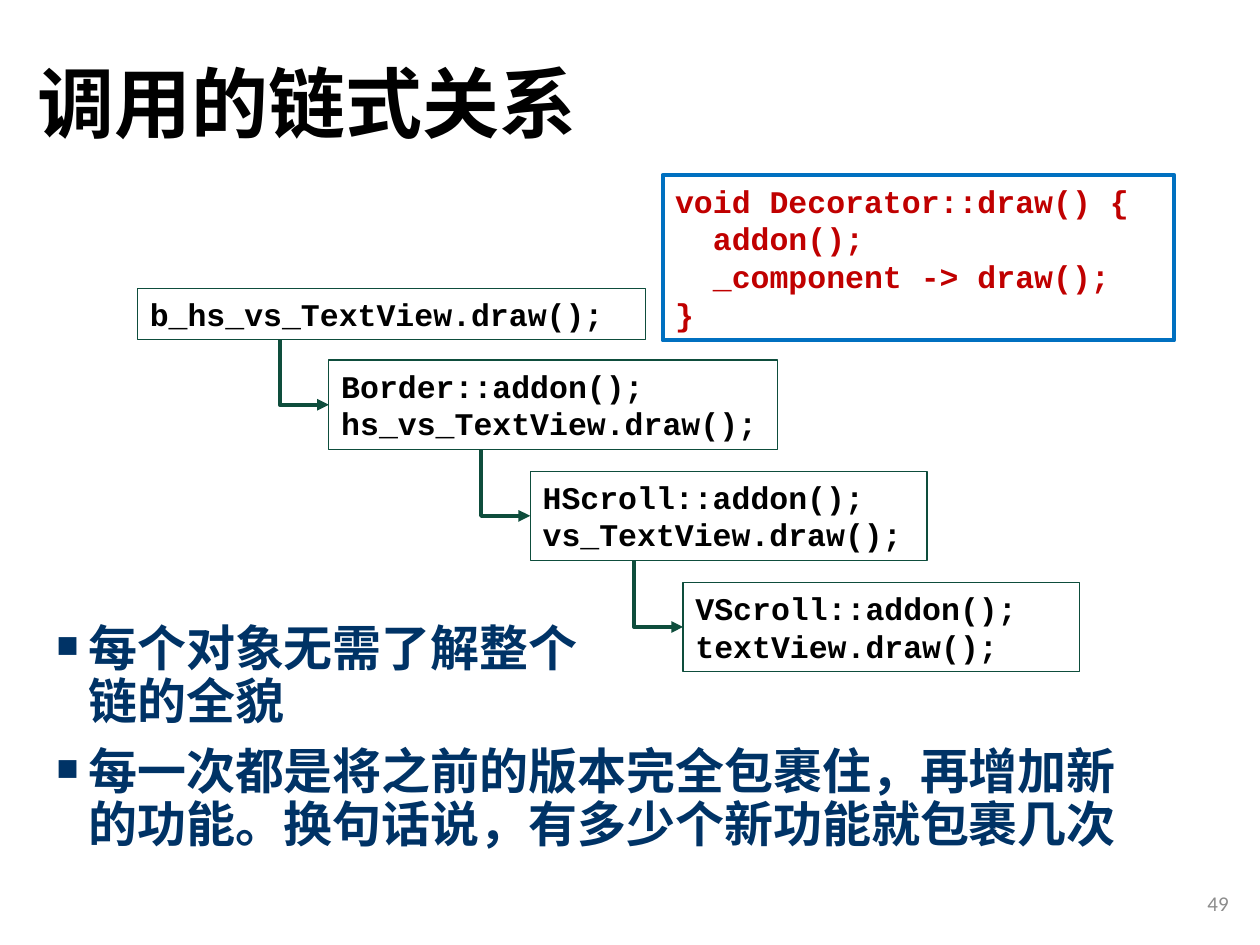
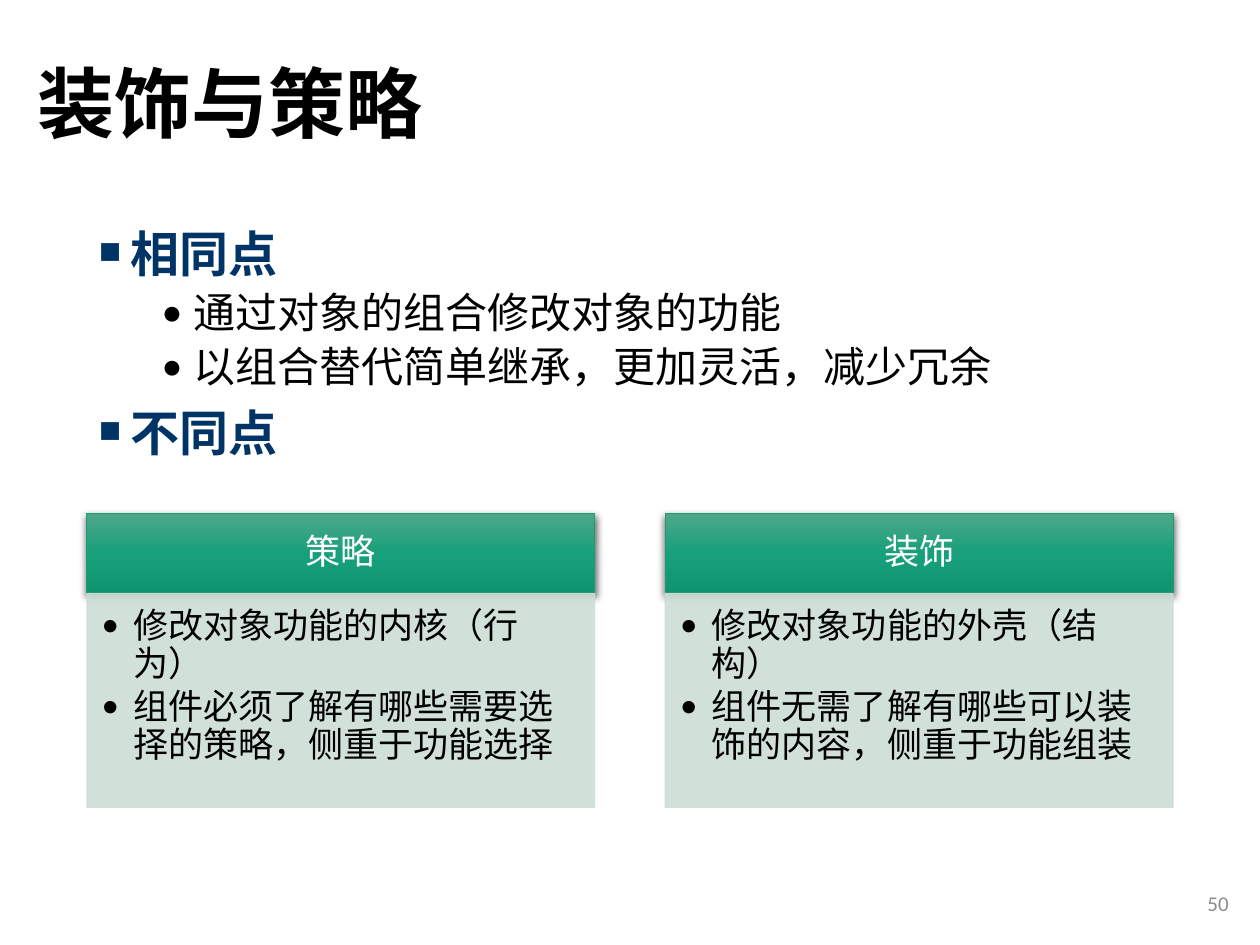
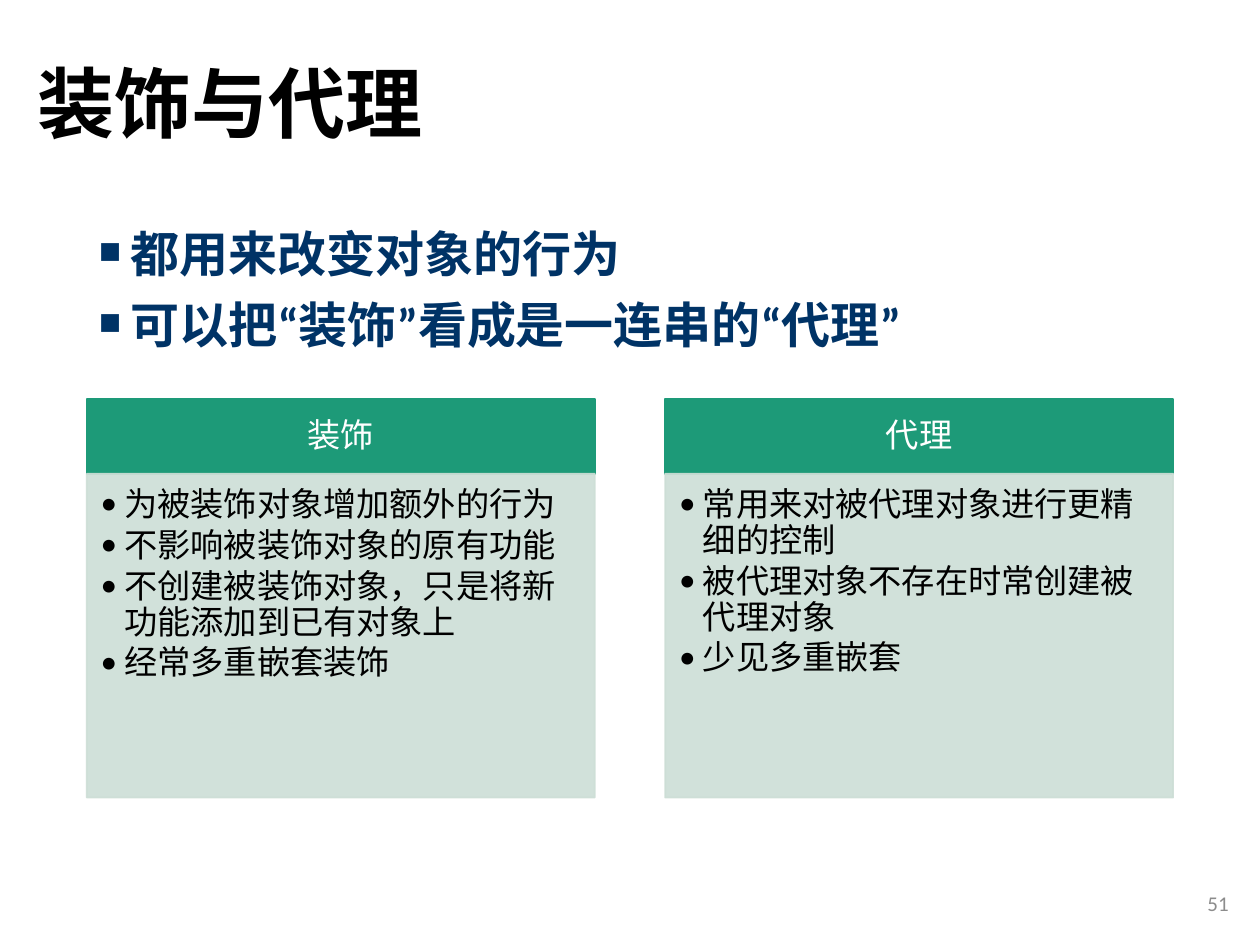
from dataclasses import dataclass
from itertools import pairwise

from lxml import etree
from pptx import Presentation
from pptx.dml.color import RGBColor
from pptx.enum.shapes import MSO_CONNECTOR, MSO_SHAPE
from pptx.enum.text import MSO_ANCHOR, MSO_AUTO_SIZE, PP_ALIGN
from pptx.oxml.ns import qn
from pptx.util import Cm, Pt

RECTANGLE = MSO_SHAPE.RECTANGLE
ELBOW = MSO_CONNECTOR.ELBOW
TOP, MIDDLE = MSO_ANCHOR.TOP, MSO_ANCHOR.MIDDLE
LEFT, CENTER, RIGHT = PP_ALIGN.LEFT, PP_ALIGN.CENTER, PP_ALIGN.RIGHT
GROW = MSO_AUTO_SIZE.SHAPE_TO_FIT_TEXT


@dataclass(frozen=True)
class Box:
    """A rectangle in centimetres."""
    left: float
    top: float
    width: float
    height: float

    @property
    def bottom(self):
        return self.top + self.height

    @property
    def middle(self):
        return self.top + self.height / 2

    def lengths(self):
        return [Cm(v) for v in (self.left, self.top, self.width, self.height)]


@dataclass(frozen=True)
class Style:
    font: str
    size: float
    color: str
    bold: bool = False
    east_asian: str = "Calibri"
    align: object = LEFT
    line_spacing: float = 0.9
    before: float = 0
    after: float = 0
    indent: float = 0
    hanging: float = 0
    bullet: str = ""
    bullet_font: str = "Calibri"
    bullet_percent: int = 100


class Theme:
    heading_font, code_font = "Noto Sans CJK SC", "Courier New"
    black, white = "000000", "FFFFFF"
    navy, blue, red = "003366", "0070C0", "C00000"
    dark_green, green, pale_green = "0E4D3C", "1D9A78", "CDDED6"
    gradient = {0: "4EA788", 50: "17A07B", 100: "0F9470"}
    title = Style(heading_font, 44, black, True, heading_font)
    number = Style("Calibri", 12, "8C8C8C", align=RIGHT, line_spacing=1)
    point = Style("Noto Sans Mono", 28, navy, True, before=10, indent=0.64,
                  hanging=0.64, bullet="■", bullet_font=code_font,
                  bullet_percent=75)
    detail = Style("Noto Sans Mono", 24, black, before=5, indent=1.9,
                   hanging=0.64, bullet="•")
    code = Style(code_font, 18, black, True, line_spacing=1)
    sample = Style(code_font, 18, red, True, line_spacing=1)


def card_styles(size, indent):
    head = Style(Theme.heading_font, size, Theme.white, align=CENTER)
    item = Style(Theme.heading_font, size, Theme.black, after=0.15 * size,
                 indent=indent, hanging=indent, bullet="•")
    return head, item


def add_node(parent, tag, **attributes):
    node = etree.SubElement(parent, qn(tag))
    for name, value in attributes.items():
        node.set(name, str(value))
    return node


def format_paragraph(para, style):
    para.alignment = style.align
    para.line_spacing = style.line_spacing
    para.space_before = Pt(style.before)
    para.space_after = Pt(style.after)
    if style.bullet:
        props = para._p.get_or_add_pPr()
        props.set("marL", str(Cm(style.indent)))
        props.set("indent", str(-Cm(style.hanging)))
        add_node(props, "a:buSzPct", val=style.bullet_percent * 1000)
        add_node(props, "a:buFont", typeface=style.bullet_font)
        add_node(props, "a:buChar", char=style.bullet)
    for span in para.runs:
        span.font.name = style.font
        span.font.size = Pt(style.size)
        span.font.bold = style.bold
        span.font.color.rgb = RGBColor.from_string(style.color)
        props = span._r.get_or_add_rPr()
        props.set("lang", "zh-CN")
        add_node(props, "a:ea", typeface=style.east_asian)


def write(shape, lines, anchor=TOP, insets=(0.25, 0.13, 0.25, 0.13)):
    """Fill a shape with (text, style) paragraphs."""
    frame = shape.text_frame
    frame.word_wrap = True
    frame.vertical_anchor = anchor
    (frame.margin_left, frame.margin_top,
     frame.margin_right, frame.margin_bottom) = [Cm(v) for v in insets]
    for index, (text, style) in enumerate(lines):
        para = frame.add_paragraph() if index else frame.paragraphs[0]
        para.text = text
        format_paragraph(para, style)


def add_text(page, box, lines, anchor=TOP):
    write(page.shapes.add_textbox(*box.lengths()), lines, anchor)


def add_panel(page, box, line_color, line_width, fill=None):
    panel = page.shapes.add_shape(RECTANGLE, *box.lengths())
    panel.shadow.inherit = False
    panel.line.color.rgb = RGBColor.from_string(line_color)
    panel.line.width = Pt(line_width)
    if fill:
        panel.fill.solid()
        panel.fill.fore_color.rgb = RGBColor.from_string(fill)
    else:
        panel.fill.background()
    return panel


def make_translucent(panel, percent):
    for color in panel._element.spPr.iter(qn("a:srgbClr")):
        add_node(color, "a:alpha", val=percent * 1000)


def make_glossy(panel):
    """Give a panel a vertical gradient and a soft shadow below."""
    props = panel._element.spPr
    solid = props.find(qn("a:solidFill"))
    gradient = etree.Element(qn("a:gradFill"), rotWithShape="1")
    stops = add_node(gradient, "a:gsLst")
    for position, color in Theme.gradient.items():
        stop = add_node(stops, "a:gs", pos=position * 1000)
        add_node(stop, "a:srgbClr", val=color)
    add_node(gradient, "a:lin", ang=90 * 60000, scaled=0)
    props.replace(solid, gradient)
    shadow = add_node(props.find(qn("a:effectLst")), "a:outerShdw",
                      blurRad=Pt(4.5), dist=Pt(1.5), dir=90 * 60000,
                      algn="ctr", rotWithShape=0)
    color = add_node(shadow, "a:srgbClr", val=Theme.black)
    add_node(color, "a:alpha", val=63000)


def add_page(deck, title, number):
    page = deck.slides.add_slide(deck.slide_layouts[6])
    add_text(page, Box(0.51, 0.33, 21.89, 3.68), [(title, Theme.title)], MIDDLE)
    add_text(page, Box(19.3, 17.7, 5.72, 1.02),
             [(str(number), Theme.number)], MIDDLE)
    return page


def add_code(page, box, lines, style, line_color, line_width):
    panel = add_panel(page, box, line_color, line_width)
    write(panel, [(line, style) for line in lines])
    panel.text_frame.auto_size = GROW


def add_call_arrow(page, caller, callee, run=0.99):
    """Draw an arrow down from the caller, then right into the callee."""
    drop = callee.middle - caller.bottom
    left = callee.left - (run + drop) / 2
    top = caller.bottom + (drop - run) / 2
    arrow = page.shapes.add_connector(
        ELBOW, Cm(left), Cm(top), Cm(left + drop), Cm(top + run))
    arrow.line.color.rgb = RGBColor.from_string(Theme.dark_green)
    arrow.line.width = Pt(2.25)
    props = arrow._element.spPr
    props.find(qn("a:prstGeom")).set("prst", "bentConnector2")
    frame = props.find(qn("a:xfrm"))
    frame.set("rot", str(270 * 60000))
    frame.set("flipH", "1")
    add_node(props.find(qn("a:ln")), "a:tailEnd", type="triangle")
    add_node(props, "a:effectLst")


def add_call_chain(page, left, top):
    step, height = 2.24, 1.8
    calls = [
        (Box(left, top, 10.24, 1.02), ["b_hs_vs_TextView.draw();"]),
    ]
    followers = [
        (3.86, 9.04, ["Border::addon();", "hs_vs_TextView.draw();"]),
        (7.92, 8, ["HScroll::addon();", "vs_TextView.draw();"]),
        (11, 8, ["VScroll::addon();", "textView.draw();"]),
    ]
    for index, (offset, width, lines) in enumerate(followers):
        box = Box(left + offset, top + 1.44 + index * step, width, height)
        calls.append((box, lines))
    for box, lines in calls:
        add_code(page, box, lines, Theme.code, Theme.dark_green, 0.75)
    for (caller, _), (callee, _) in pairwise(calls):
        add_call_arrow(page, caller, callee)


def add_cards(page, box, head_height, cards, styles, line_width, insets,
              glossy=False):
    """Place equally wide cards, each a header over a bulleted list."""
    head_style, item_style = styles
    head_insets, list_insets = insets
    gap = 1.42
    width = (box.width - gap * (len(cards) - 1)) / len(cards)
    for index, (name, items) in enumerate(cards):
        left = box.left + index * (width + gap)
        head = add_panel(page, Box(left, box.top, width, head_height),
                         Theme.green, line_width, Theme.green)
        if glossy:
            make_glossy(head)
        write(head, [(name, head_style)], MIDDLE, head_insets)
        body = add_panel(
            page, Box(left, box.top + head_height, width,
                      box.height - head_height),
            Theme.pale_green, line_width, Theme.pale_green)
        make_translucent(body, 90)
        write(body, [(item, item_style) for item in items], TOP, list_insets)


def build_chain_page(deck):
    page = add_page(deck, "调用的链式关系", 49)
    add_text(page, Box(0.89, 12.45, 21.89, 4.72), [
        ("每个对象无需了解整个\n链的全貌", Theme.point),
        ("每一次都是将之前的版本完全包裹住，再增加新的功能。"
         "换句话说，有多少个新功能就包裹几次", Theme.point),
    ])
    add_code(page, Box(13.36, 3.53, 10.31, 3.33), [
        "void Decorator::draw() {",
        "  addon();",
        "  _component -> draw();",
        "}",
    ], Theme.sample, Theme.blue, 2.5)
    add_call_chain(page, 2.77, 5.82)


def build_comparison_page(deck, title, number, points, **cards):
    page = add_page(deck, title, number)
    add_text(page, Box(1.75, 4.52, 22.35, 13.18), points)
    add_cards(page, **cards)


def main():
    deck = Presentation()
    deck.slide_width, deck.slide_height = Cm(25.4), Cm(19.05)
    build_chain_page(deck)
    build_comparison_page(
        deck, "装饰与策略", 50,
        [("相同点", Theme.point),
         ("通过对象的组合修改对象的功能", Theme.detail),
         ("以组合替代简单继承，更加灵活，减少冗余", Theme.detail),
         ("不同点", Theme.point)],
        box=Box(1.75, 10.36, 21.9, 5.92), head_height=1.6,
        cards=[
            ("策略", ["修改对象功能的内核（行为）",
                    "组件必须了解有哪些需要选择的策略，侧重于功能选择"]),
            ("装饰", ["修改对象功能的外壳（结构）",
                    "组件无需了解有哪些可以装饰的内容，侧重于功能组装"]),
        ],
        styles=card_styles(20, 0.64), line_width=0.5,
        insets=((0.4, 0.23, 0.4, 0.23), (0.3, 0.3, 0.4, 0.43)), glossy=True)
    build_comparison_page(
        deck, "装饰与代理", 51,
        [("都用来改变对象的行为", Theme.point),
         ("可以把“装饰”看成是一连串的“代理”", Theme.point)],
        box=Box(1.75, 8.05, 21.9, 8.03), head_height=1.5,
        cards=[
            ("装饰", ["为被装饰对象增加额外的行为",
                    "不影响被装饰对象的原有功能",
                    "不创建被装饰对象，只是将新功能添加到已有对象上",
                    "经常多重嵌套装饰"]),
            ("代理", ["常用来对被代理对象进行更精细的控制",
                    "被代理对象不存在时常创建被代理对象",
                    "少见多重嵌套"]),
        ],
        styles=card_styles(19, 0.48), line_width=1,
        insets=((0.38, 0.2, 0.38, 0.2), (0.28, 0.28, 0.38, 0.43)))
    deck.save("out.pptx")


if __name__ == "__main__":
    main()
